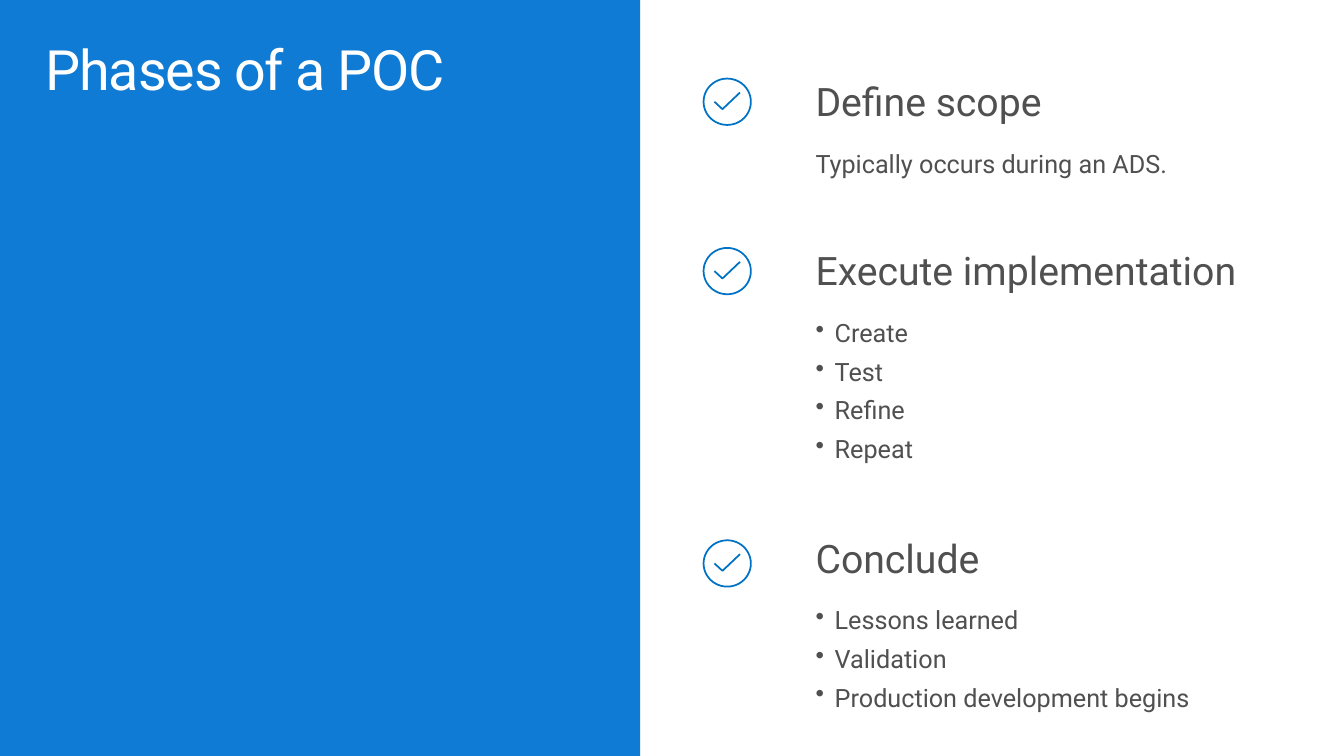
from dataclasses import dataclass

from lxml import etree
from pptx import Presentation
from pptx import util as u
from pptx.dml.color import RGBColor
from pptx.enum import shapes, text
from pptx.oxml import ns

BLUE = RGBColor(0x10, 0x7B, 0xD4)
ICON_BLUE = RGBColor(0x00, 0x72, 0xC6)
GREY = RGBColor(0x50, 0x50, 0x50)
WHITE = RGBColor(0xFF, 0xFF, 0xFF)
FONT = "Roboto"
WIDTH, HEIGHT = u.Inches(13.33), u.Inches(7.5)
INDENT = u.Inches(0.19)

# Tick corners as shares of the icon's width and height
TICK = [(0.23, 0.5), (0.4, 0.66), (0.77, 0.3)]


@dataclass
class Phase:
    """Positions are percentages of the slide's height."""
    heading: str
    lines: list[str]
    top: float
    height: float
    icon_top: float
    bulleted: bool = True


PHASES = [
    Phase("Define scope", ["Typically occurs during an ADS."], 9.6, 15.47, 10.4, False),
    Phase("Execute implementation", ["Create", "Test", "Refine", "Repeat"], 32, 31.07, 32.8),
    Phase("Conclude", ["Lessons learned", "Validation", "Production development begins"],
          70, 25.87, 71.47),
]


def across(percent: float) -> int:
    return round(WIDTH * percent / 100)


def down(percent: float) -> int:
    return round(HEIGHT * percent / 100)


def box(left: float, top: float, width: float, height: float) -> tuple[int, ...]:
    """Turn percentages of the slide into lengths."""
    return across(left), down(top), across(width), down(height)


def add_text_frame(slide, *place: float):
    tf = slide.shapes.add_textbox(*box(*place)).text_frame
    tf.word_wrap = True
    tf.margin_left = tf.margin_right = u.Inches(0.16)
    tf.margin_top = tf.margin_bottom = u.Inches(0.1)
    return tf


def write(p, words: str, size: float, color: RGBColor, spacing: float = 1.0) -> None:
    p.text = words
    p.font.name = FONT
    p.font.size = u.Pt(size)
    p.font.color.rgb = color
    p.line_spacing = spacing


def add_bullet(p) -> None:
    pPr = p._p.get_or_add_pPr()
    pPr.set("marL", str(INDENT))
    pPr.set("indent", str(-INDENT))
    bullet = etree.Element(ns.qn("a:buChar"), char="•")
    pPr.find(ns.qn("a:defRPr")).addprevious(bullet)


def add_title(slide) -> None:
    tf = add_text_frame(slide, 2.18, 4.27, 42.9, 13.07)
    p = tf.paragraphs[0]
    write(p, "Phases of a POC", 39.7, WHITE, 0.9)
    p.runs[0]._r.get_or_add_rPr().set("spc", "-80")


def add_phase_text(slide, phase: Phase) -> None:
    tf = add_text_frame(slide, 59.48, phase.top, 35.48, phase.height)
    tf.auto_size = text.MSO_AUTO_SIZE.SHAPE_TO_FIT_TEXT
    heading = tf.paragraphs[0]
    write(heading, phase.heading, 28, GREY, 0.9)
    heading.space_after = u.Pt(16.4)
    for line in phase.lines:
        p = tf.add_paragraph()
        write(p, line, 18, GREY)
        p.space_after = u.Pt(6)
        if phase.bulleted:
            add_bullet(p)


def add_tick_icon(slide, top: float) -> None:
    x, y, w, h = box(52.35, top, 3.52, 6.13)
    circle = slide.shapes.add_shape(shapes.MSO_SHAPE.OVAL, x, y, w, h)
    corners = [(round(x + w * a), round(y + h * b)) for a, b in TICK]
    builder = slide.shapes.build_freeform(*corners[0])
    builder.add_line_segments(corners[1:], close=False)
    for sp in (circle, builder.convert_to_shape()):
        sp.shadow.inherit = False
        sp.fill.background()
        sp.line.color.rgb = ICON_BLUE
        sp.line.width = u.Pt(1.25)


def main() -> None:
    prs = Presentation()
    prs.slide_width, prs.slide_height = WIDTH, HEIGHT
    slide = prs.slides.add_slide(prs.slide_layouts[6])
    panel = slide.shapes.add_shape(shapes.MSO_SHAPE.RECTANGLE, *box(0, 0, 47.63, 100))
    panel.shadow.inherit = False
    panel.fill.solid()
    panel.fill.fore_color.rgb = BLUE
    panel.line.fill.background()
    add_title(slide)
    for phase in PHASES:
        add_phase_text(slide, phase)
        add_tick_icon(slide, phase.icon_top)
    prs.save("out.pptx")


if __name__ == "__main__":
    main()
